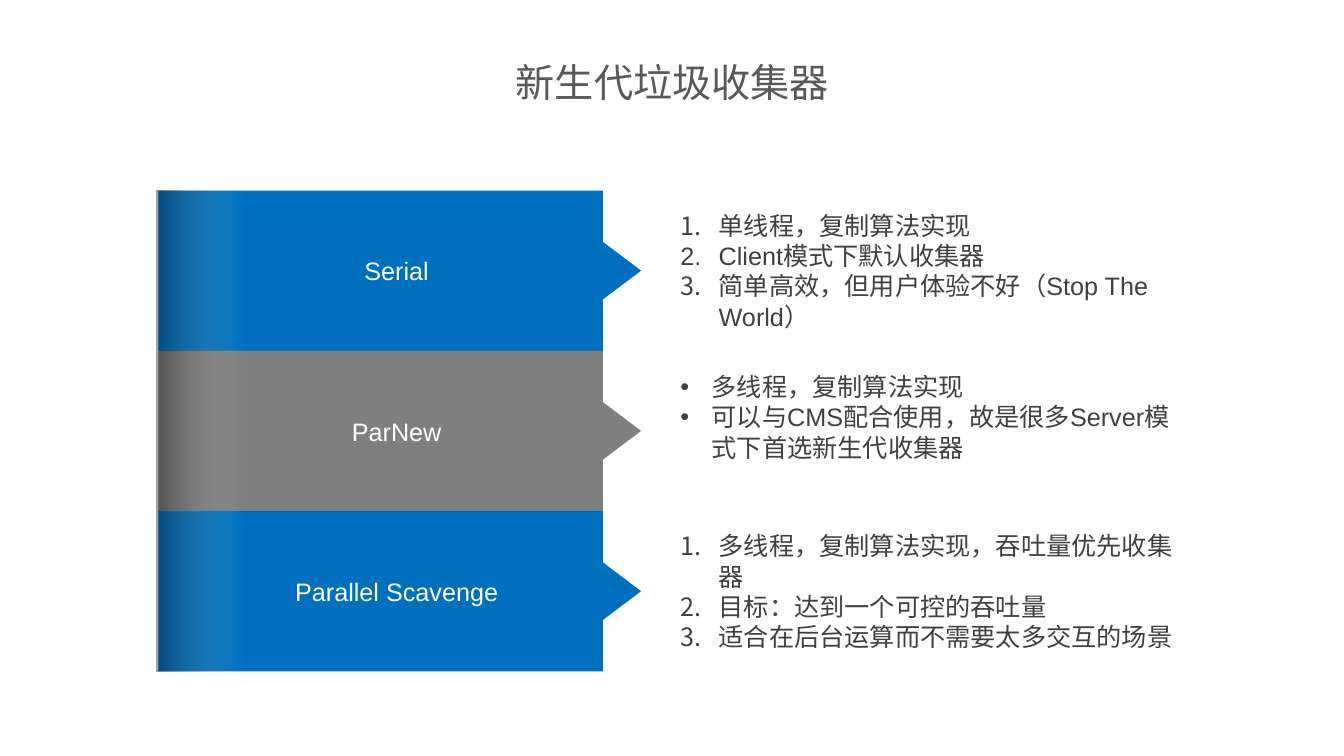
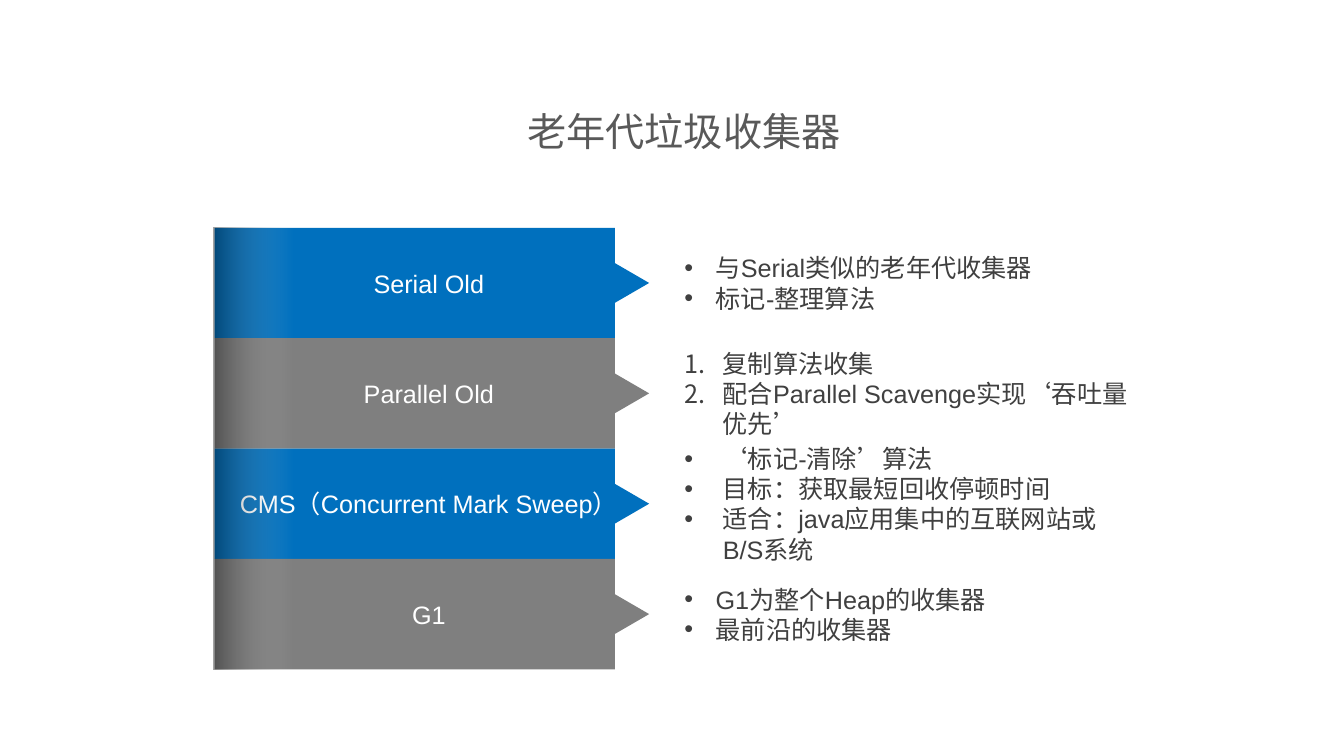
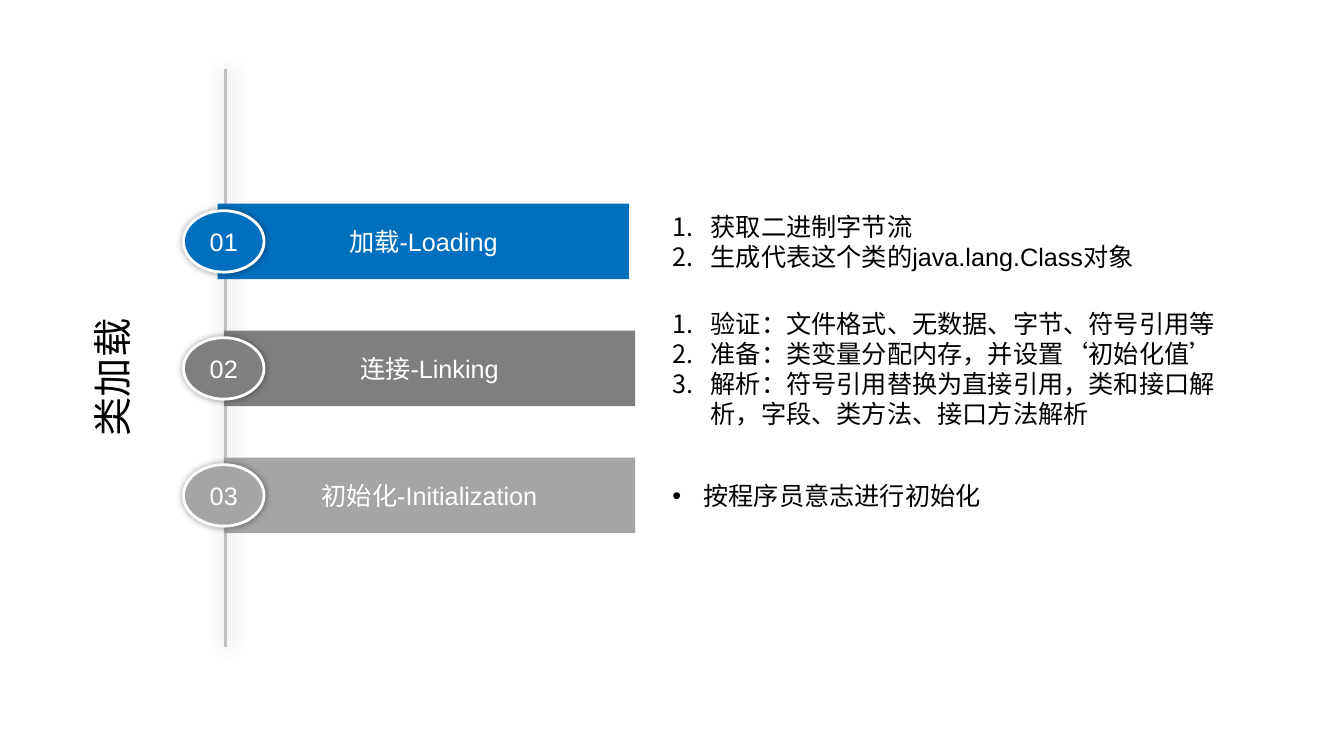
import dataclasses
import typing

import lxml.etree
import pptx
import pptx.dml.color
import pptx.enum.shapes
import pptx.enum.text
import pptx.oxml.ns
import pptx.shapes.base
import pptx.slide
import pptx.text.text
import pptx.util

BLUE = pptx.dml.color.RGBColor(0x00, 0x70, 0xBE)
GRAY = pptx.dml.color.RGBColor(0x7F, 0x7F, 0x7F)
SILVER = pptx.dml.color.RGBColor(0xA5, 0xA5, 0xA5)
RAIL = pptx.dml.color.RGBColor(0xBF, 0xBF, 0xBF)
TITLE_GRAY = pptx.dml.color.RGBColor(0x59, 0x59, 0x59)
BODY_GRAY = pptx.dml.color.RGBColor(0x40, 0x40, 0x40)
WHITE = pptx.dml.color.RGBColor(0xFF, 0xFF, 0xFF)
BLACK = pptx.dml.color.RGBColor(0x00, 0x00, 0x00)
FONT = "Arial"
TITLE_SIZE = 28
TEXT_SIZE = 18
GRID_COLUMNS = 133.33
GRID_ROWS = 75
COMPARISON_LAYOUT = 4
NUMBER_INDENT = 3.8
BULLET_INDENT = 3.1
ARROW_SHARE = 0.18
CENTER = pptx.enum.text.PP_ALIGN.CENTER
LEFT = pptx.enum.text.PP_ALIGN.LEFT
Color = pptx.dml.color.RGBColor
Page = pptx.slide.Slide


def cells(count: float) -> pptx.util.Length:
    return pptx.util.Inches(count / 10)


@dataclasses.dataclass(frozen=True)
class Area:
    left: float
    top: float
    width: float
    height: float

    def lengths(self) -> list[pptx.util.Length]:
        return [cells(side) for side in (self.left, self.top, self.width, self.height)]


@dataclasses.dataclass(frozen=True)
class Margins:
    left: float = 0
    top: float = 0
    right: float = 0
    bottom: float = 0


@dataclasses.dataclass(frozen=True)
class Topic:
    label: str
    lines: tuple[str, ...]
    color: Color
    numbered: bool = False
    indent: float = BULLET_INDENT
    bottom_margin: float = 0


@dataclasses.dataclass(frozen=True)
class Stack:
    title: str
    title_area: Area
    banner: Area
    tip: float
    list_left: float
    list_width: float
    shade_left: float
    shade_width: float
    topics: tuple[Topic, ...]


PADDING = Margins(1, 0.5, 1, 0.5)
BANNER_MARGINS = Margins(1, 0.5, 1.6, 0.5)

YOUNG = Stack(
    "新生代垃圾收集器", Area(36.8, 1.9, 59.8, 12.5),
    Area(15.7, 18.9, 44.1, 47.7), 3.8, 67.5, 49.2, 15.5, 8.8,
    (
        Topic("Serial", ("单线程，复制算法实现", "Client模式下默认收集器",
                         "简单高效，但用户体验不好（Stop The World）"),
              BLUE, True, NUMBER_INDENT),
        Topic("ParNew", ("多线程，复制算法实现",
                         "可以与CMS配合使用，故是很多Server模式下首选新生代收集器"),
              GRAY, bottom_margin=2.8),
        Topic("Parallel Scavenge", ("多线程，复制算法实现，吞吐量优先收集器",
                                    "目标：达到一个可控的吞吐量",
                                    "适合在后台运算而不需要太多交互的场景"),
              BLUE, True, NUMBER_INDENT),
    ),
)

OLD = Stack(
    "老年代垃圾收集器", Area(26.4, 8.2, 82.9, 9.5),
    Area(21.3, 22.6, 39.7, 43.8), 3.4, 67.9, 44.3, 21.2, 7.9,
    (
        Topic("Serial Old", ("与Serial类似的老年代收集器", "标记-整理算法"), BLUE),
        Topic("Parallel Old", ("复制算法收集", "配合Parallel Scavenge实现‘吞吐量优先’"),
              GRAY, True, NUMBER_INDENT),
        Topic("CMS（Concurrent Mark Sweep）",
              ("‘标记-清除’算法", "目标：获取最短回收停顿时间",
               "适合：java应用集中的互联网站或B/S系统"),
              BLUE, indent=NUMBER_INDENT),
        Topic("G1", ("G1为整个Heap的收集器", "最前沿的收集器"), GRAY),
    ),
)

LOADING_STEPS = (
    Topic("加载-Loading", ("获取二进制字节流", "生成代表这个类的java.lang.Class对象"),
          BLUE, True, NUMBER_INDENT),
    Topic("连接-Linking", ("验证：文件格式、无数据、字节、符号引用等",
                         "准备：类变量分配内存，并设置‘初始化值’",
                         "解析：符号引用替换为直接引用，类和接口解析，字段、类方法、接口方法解析"),
          GRAY, True, NUMBER_INDENT),
    Topic("初始化-Initialization", ("按程序员意志进行初始化",), SILVER),
)


def add_child(parent: typing.Any, tag: str, **attributes: str) -> typing.Any:
    return lxml.etree.SubElement(parent, pptx.oxml.ns.qn(tag), attributes)


def write(frame: pptx.text.text.TextFrame, text: str, size: float, color: Color,
          align: typing.Any, margins: Margins, wrap: bool = True) -> None:
    frame.text = text
    frame.word_wrap = wrap
    frame.auto_size = pptx.enum.text.MSO_AUTO_SIZE.NONE
    frame.vertical_anchor = pptx.enum.text.MSO_ANCHOR.MIDDLE
    frame.margin_left = cells(margins.left)
    frame.margin_top = cells(margins.top)
    frame.margin_right = cells(margins.right)
    frame.margin_bottom = cells(margins.bottom)
    for para in frame.paragraphs:
        para.alignment = align
        para.line_spacing = 1.0
        para.space_before = para.space_after = pptx.util.Pt(0)
        for span in para.runs:
            span.font.name = FONT
            span.font.size = pptx.util.Pt(size)
            span.font.bold = False
            span.font.color.rgb = color


def place(box: pptx.shapes.base.BaseShape, area: Area) -> None:
    box.left, box.top, box.width, box.height = area.lengths()


def set_title(page: Page, text: str, area: Area, color: Color, rotation: float = 0) -> None:
    title = page.shapes.title
    place(title, area)
    title.rotation = rotation
    write(title.text_frame, text, TITLE_SIZE, color, CENTER, PADDING, wrap=False)


def fill_list(box: pptx.shapes.base.BaseShape, area: Area, topic: Topic,
              color: Color, margins: Margins) -> None:
    place(box, area)
    write(box.text_frame, "\n".join(topic.lines), TEXT_SIZE, color, LEFT, margins)
    for para in box.text_frame.paragraphs:
        properties = para._p.get_or_add_pPr()
        indent = int(cells(topic.indent))
        properties.set("marL", str(indent))
        properties.set("indent", str(-indent))
        if topic.numbered:
            add_child(properties, "a:buFontTx")
            add_child(properties, "a:buAutoNum", type="arabicPeriod")
        else:
            add_child(properties, "a:buFont", typeface=FONT)
            add_child(properties, "a:buChar", char="•")


def take_bodies(page: Page, count: int) -> list[typing.Any]:
    bodies = [box for box in page.placeholders if box.placeholder_format.idx > 0]
    for spare in bodies[count:]:
        spare.element.getparent().remove(spare.element)
    return bodies[:count]


def add_shadow(shape: typing.Any, blur: float, distance: float) -> None:
    properties = shape.element.spPr
    effects = properties.find(pptx.oxml.ns.qn("a:effectLst"))
    if effects is None:
        effects = add_child(properties, "a:effectLst")
    shadow = add_child(effects, "a:outerShdw", blurRad=str(int(pptx.util.Pt(blur))),
                       dist=str(int(pptx.util.Pt(distance))), dir="0",
                       algn="ctr", rotWithShape="0")
    add_child(add_child(shadow, "a:srgbClr", val=str(BLACK)), "a:alpha", val="40000")


def paint(shape: typing.Any, color: Color) -> None:
    shape.fill.solid()
    shape.fill.fore_color.rgb = color
    shape.line.fill.background()
    shape.shadow.inherit = False


def add_banner(page: Page, area: Area, tip: float, topic: Topic) -> None:
    right = area.left + area.width
    bottom = area.top + area.height
    middle = area.top + area.height / 2
    half = area.height * ARROW_SHARE
    corners = ((area.left, area.top), (right, area.top), (right, middle - half),
               (right + tip, middle), (right, middle + half), (right, bottom),
               (area.left, bottom))
    points = [(cells(x), cells(y)) for x, y in corners]
    builder = page.shapes.build_freeform(*points[0])
    builder.add_line_segments(points[1:], close=True)
    banner = builder.convert_to_shape()
    paint(banner, topic.color)
    write(banner.text_frame, topic.label, TEXT_SIZE, WHITE, CENTER, BANNER_MARGINS)


def add_shade(page: Page, area: Area) -> None:
    shade = page.shapes.add_shape(pptx.enum.shapes.MSO_SHAPE.RECTANGLE, *area.lengths())
    shade.fill.gradient()
    shade.fill.gradient_angle = 180
    for stop, color in zip(shade.fill.gradient_stops, (WHITE, BLACK)):
        stop.color.rgb = color
    for tint, opacity in zip(shade.element.spPr.xpath(".//a:gs/a:srgbClr"), ("0", "37000")):
        add_child(tint, "a:alpha", val=opacity)
    shade.line.fill.background()
    shade.shadow.inherit = False


def draw_stack(page: Page, stack: Stack) -> None:
    set_title(page, stack.title, stack.title_area, TITLE_GRAY)
    banner = stack.banner
    row = banner.height / len(stack.topics)
    bodies = take_bodies(page, len(stack.topics))
    for index, (topic, body) in enumerate(zip(stack.topics, bodies)):
        top = banner.top + index * row
        add_banner(page, Area(banner.left, top, banner.width, row), stack.tip, topic)
        fill_list(body, Area(stack.list_left, top, stack.list_width, row), topic,
                  BODY_GRAY, Margins(bottom=topic.bottom_margin))
    add_shade(page, Area(stack.shade_left, banner.top, stack.shade_width, banner.height))


def add_label(page: Page, kind: typing.Any, area: Area, text: str, color: Color) -> typing.Any:
    shape = page.shapes.add_shape(kind, *area.lengths())
    paint(shape, color)
    write(shape.text_frame, text, TEXT_SIZE, WHITE, CENTER, Margins())
    return shape


def draw_loading(page: Page) -> None:
    set_title(page, "类加载", Area(-22.8, 32.6, 67.8, 9.7), BLACK, rotation=270)
    rail = page.shapes.add_connector(pptx.enum.shapes.MSO_CONNECTOR.STRAIGHT,
                                     cells(22.4), cells(6.8), cells(22.4), cells(64.2))
    rail.line.color.rgb = RAIL
    rail.line.width = pptx.util.Pt(2)
    add_shadow(rail, 14, 1)
    bodies = take_bodies(page, len(LOADING_STEPS))
    for index, (step, body) in enumerate(zip(LOADING_STEPS, bodies)):
        top = 20.2 + index * 12.6
        bar_left = 22.2 if index else 21.6
        add_label(page, pptx.enum.shapes.MSO_SHAPE.RECTANGLE,
                  Area(bar_left, top, 40.8, 7.5), step.label, step.color)
        badge = add_label(page, pptx.enum.shapes.MSO_SHAPE.OVAL,
                          Area(18.2, top + 0.7, 8, 6.1), f"{index + 1:02}", step.color)
        badge.line.color.rgb = WHITE
        badge.line.width = pptx.util.Pt(2)
        add_shadow(badge, 5, 0)
        fill_list(body, Area(65.7, top, 56.9, 7.5), step, BLACK, PADDING)


def main() -> None:
    deck = pptx.Presentation()
    deck.slide_width = cells(GRID_COLUMNS)
    deck.slide_height = cells(GRID_ROWS)
    layout = deck.slide_layouts[COMPARISON_LAYOUT]
    for stack in (YOUNG, OLD):
        draw_stack(deck.slides.add_slide(layout), stack)
    draw_loading(deck.slides.add_slide(layout))
    deck.save("out.pptx")


main()
